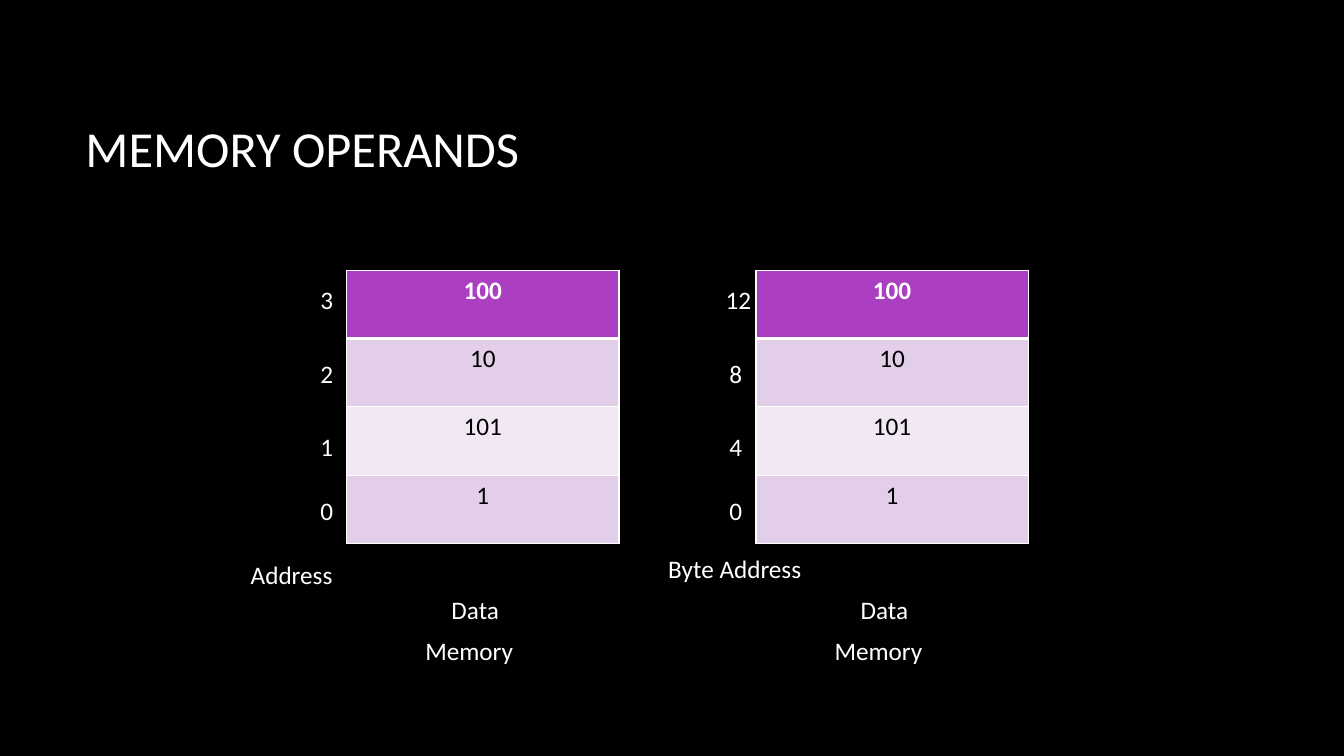
from lxml import etree
from pptx import Presentation
from pptx import util as u
from pptx.dml.color import RGBColor
from pptx.enum import text
from pptx.oxml import ns

Pt = u.Pt
WHITE, BLACK, PURPLE, LILAC, PALE = "FFFFFF", "000000", "AC3EC1", "E3CEE9", "F1E8F4"


def write(frame, words, color=WHITE, size=18, bold=False):
    span = frame.paragraphs[0].add_run()
    span.text = words
    span.font.color.rgb = RGBColor.from_string(color)
    for name, value in {"name": "Calibri", "size": Pt(size), "bold": bold}.items():
        setattr(span.font, name, value)


def add_label(words, left, top, width):
    box = page.shapes.add_textbox(Pt(left), Pt(top), Pt(width), Pt(29))
    box.text_frame.word_wrap = False
    box.text_frame.auto_size = text.MSO_AUTO_SIZE.SHAPE_TO_FIT_TEXT
    write(box.text_frame, words)


deck = Presentation()
deck.slide_width, deck.slide_height = Pt(960), Pt(540)
page = deck.slides.add_slide(deck.slide_layouts[6])
page.background.fill.solid()
page.background.fill.fore_color.rgb = RGBColor.from_string(BLACK)

# Title
title = page.shapes.add_textbox(Pt(54), Pt(48), Pt(798), Pt(114.5))
title.text_frame.word_wrap = True
title.text_frame.vertical_anchor = text.MSO_ANCHOR.MIDDLE
write(title.text_frame, "MEMORY OPERANDS", size=36)

# Two memories: table left edge, then addresses from top to bottom
memories = [(247.7, ["3", "2", "1", "0"]), (540, ["12", "8", "4", "0"])]
address_tops = [199.4, 252.7, 304.6, 349.9]
data_rows = [("100", PURPLE), ("10", LILAC), ("101", PALE), ("1", LILAC)]

for left, addresses in memories:
    # Data cells
    table = page.shapes.add_table(4, 1, Pt(left), Pt(193), Pt(194.4), Pt(195.2)).table
    for index, (value, fill) in enumerate(data_rows):
        header = index == 0
        table.rows[index].height = Pt(48.8)
        cell = table.cell(index, 0)
        cell.fill.solid()
        cell.fill.fore_color.rgb = RGBColor.from_string(fill)
        write(cell.text_frame, value, WHITE if header else BLACK, bold=header)
        cell.text_frame.paragraphs[0].alignment = text.PP_ALIGN.CENTER

        # Cell borders; a row's top edge is the bottom edge of the row above
        borders = {"lnL": 1, "lnR": 1, "lnT": 1, "lnB": 3 if header else 1}
        if not header:
            del borders["lnT"]
        properties = cell._tc.get_or_add_tcPr()
        for place, (edge, width) in enumerate(borders.items()):
            line = etree.Element(ns.qn("a:" + edge), w=str(Pt(width)))
            solid = etree.SubElement(line, ns.qn("a:solidFill"))
            etree.SubElement(solid, ns.qn("a:srgbClr"), val=WHITE)
            properties.insert(place, line)

    # Addresses beside the cells
    for address, top in zip(addresses, address_tops):
        wide = len(address) > 1
        add_label(address, left - (28.8 if wide else 26), top, 33 if wide else 23.8)

    # Captions below the table
    add_label("Data", left + 67.7, 421.2, 49)
    add_label("Memory", left + 49, 450, 77.8)

# Address captions
add_label("Address", 172, 396, 73.4)
add_label("Byte Address", 470.2, 391.7, 110.9)

deck.save("out.pptx")
